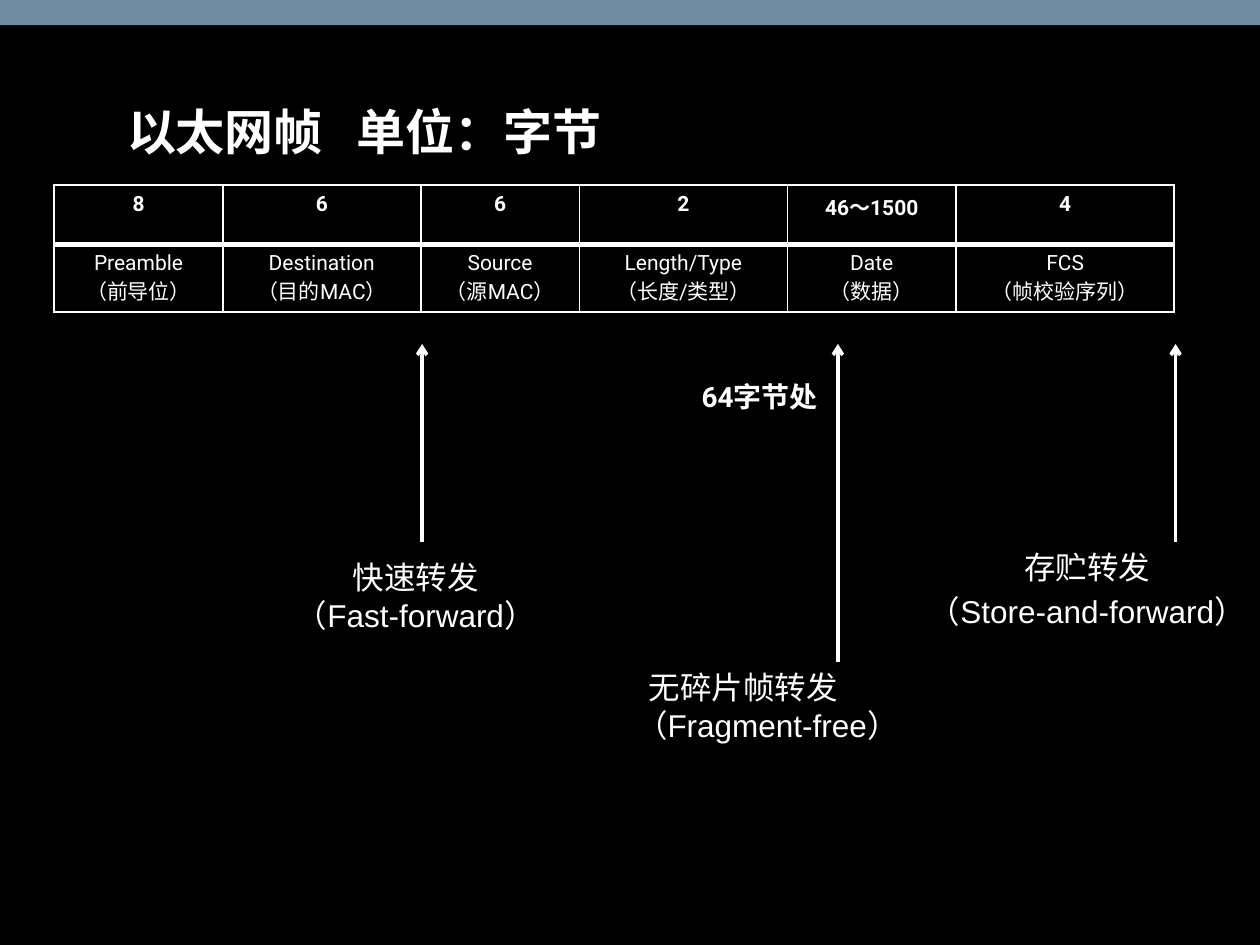
from lxml import etree
from pptx import Presentation
from pptx.dml.color import RGBColor
from pptx.enum import shapes, text
from pptx.oxml import ns
from pptx.util import Inches, Pt

WHITE = RGBColor(0xFF, 0xFF, 0xFF)
BLACK = RGBColor(0, 0, 0)
BAND_BLUE = RGBColor(0x70, 0x8C, 0xA1)

TITLE_FONT = {"name": "Roboto", "size": Pt(28), "bold": True}
NOTE_FONT = {"name": "Roboto", "size": Pt(16), "bold": True}
MODE_FONT = {"name": "Arial", "size": Pt(18), "bold": False}
SIZE_FONT = {"name": "Roboto", "size": Pt(12), "bold": True}
FIELD_FONT = {"name": "Roboto", "size": Pt(12), "bold": False}

FIELDS = [
    # width, bytes, name, meaning
    (1.34, "8", "Preamble", "（前导位）"),
    (1.57, "6", "Destination", "（目的MAC）"),
    (1.26, "6", "Source", "（源MAC）"),
    (1.65, "2", "Length/Type", "（长度/类型）"),
    (1.34, "46～1500", "Date", "（数据）"),
    (1.73, "4", "FCS", "（帧校验序列）"),
]
ARROWS = [(3.35, 4.3), (6.65, 5.25), (9.33, 4.3)]
ARROW_TIP = 2.73
HANGING = 0.38


def write_lines(frame, lines, font, align, hanging=0, gap=0):
    for index, line in enumerate(lines):
        paragraph = frame.paragraphs[0] if index == 0 else frame.add_paragraph()
        paragraph.alignment = align
        if index and gap:
            paragraph.space_before = Pt(gap)
        if hanging:
            properties = paragraph._p.get_or_add_pPr()
            properties.set("marL", str(Inches(hanging)))
            properties.set("indent", str(Inches(-hanging)))
        run = paragraph.add_run()
        run.text = line
        for name, value in font.items():
            setattr(run.font, name, value)
        run.font.color.rgb = WHITE


def add_label(slide, box, lines, font, align=text.PP_ALIGN.CENTER, **spacing):
    shape = slide.shapes.add_textbox(*(Inches(length) for length in box))
    shape.text_frame.word_wrap = True
    write_lines(shape.text_frame, lines, font, align, **spacing)
    return shape


def add_tab_stop(paragraph, position):
    properties = paragraph._p.get_or_add_pPr()
    stops = etree.SubElement(properties, ns.qn("a:tabLst"))
    etree.SubElement(stops, ns.qn("a:tab"), pos=str(Inches(position)), algn="l")


def add_title(slide):
    shape = slide.shapes.add_textbox(Inches(0.91), Inches(0.76), Inches(4.08), Inches(0.57))
    frame = shape.text_frame
    frame.word_wrap = False
    add_tab_stop(frame.paragraphs[0], 1.82)
    write_lines(frame, ["以太网帧\t单位：字节"], TITLE_FONT, text.PP_ALIGN.LEFT)


def add_band(slide, width):
    band = slide.shapes.add_shape(shapes.MSO_SHAPE.RECTANGLE, 0, 0, width, Inches(0.2))
    band.shadow.inherit = False
    band.fill.solid()
    band.fill.fore_color.rgb = BAND_BLUE
    band.line.fill.background()


def set_borders(cell, widths):
    """Draw white borders; widths maps a side (L, R, T, B) to points."""
    properties = cell._tc.get_or_add_tcPr()
    for index, (side, width) in enumerate(widths.items()):
        line = etree.Element(ns.qn(f"a:ln{side}"), w=str(Pt(width)))
        fill = etree.SubElement(line, ns.qn("a:solidFill"))
        etree.SubElement(fill, ns.qn("a:srgbClr"), val=str(WHITE))
        properties.insert(index, line)


def add_frame_table(slide):
    total = sum(field[0] for field in FIELDS)
    table = slide.shapes.add_table(
        2, len(FIELDS), Inches(0.43), Inches(1.47), Inches(total), Inches(0.94)
    ).table
    for row in table.rows:
        row.height = Inches(0.47)
    for column, (width, size, name, meaning) in enumerate(FIELDS):
        table.columns[column].width = Inches(width)
        rows = [
            ([size], SIZE_FONT, {"L": 1, "R": 1, "T": 1, "B": 3}),
            ([name, meaning], FIELD_FONT, {"L": 1, "R": 1, "T": 3, "B": 1}),
        ]
        for row, (lines, font, borders) in enumerate(rows):
            cell = table.cell(row, column)
            cell.fill.background()
            write_lines(cell.text_frame, lines, font, text.PP_ALIGN.CENTER)
            set_borders(cell, borders)


def add_arrow(slide, x, bottom):
    """Add an arrow pointing up at the frame table."""
    arrow = slide.shapes.add_connector(
        shapes.MSO_CONNECTOR.STRAIGHT,
        Inches(x), Inches(bottom), Inches(x), Inches(ARROW_TIP),
    )
    arrow.line.color.rgb = WHITE
    arrow.line.width = Pt(2)
    etree.SubElement(arrow.line._get_or_add_ln(), ns.qn("a:tailEnd"), type="arrow")
    etree.SubElement(arrow._element.spPr, ns.qn("a:effectLst"))


def main():
    presentation = Presentation()
    presentation.slide_width = Inches(10)
    presentation.slide_height = Inches(7.5)
    slide = presentation.slides.add_slide(presentation.slide_layouts[6])
    slide.background.fill.solid()
    slide.background.fill.fore_color.rgb = BLACK

    add_band(slide, presentation.slide_width)
    add_frame_table(slide)
    add_title(slide)
    for x, bottom in ARROWS:
        add_arrow(slide, x, bottom)
    add_label(slide, (2.24, 4.38, 2.12, 0.71), ["快速转发", "（Fast-forward）"], MODE_FONT)
    add_label(slide, (7.26, 4.3, 2.74, 0.77), ["存贮转发", "（Store-and-forward）"],
              MODE_FONT, hanging=HANGING, gap=3.6)
    add_label(slide, (4.53, 5.25, 2.74, 0.71), ["无碎片帧转发（Fragment-free）"],
              MODE_FONT, hanging=HANGING)
    add_label(slide, (5.47, 2.96, 1.13, 0.37), ["64字节处"], NOTE_FONT, text.PP_ALIGN.LEFT)
    presentation.save("out.pptx")


if __name__ == "__main__":
    main()
